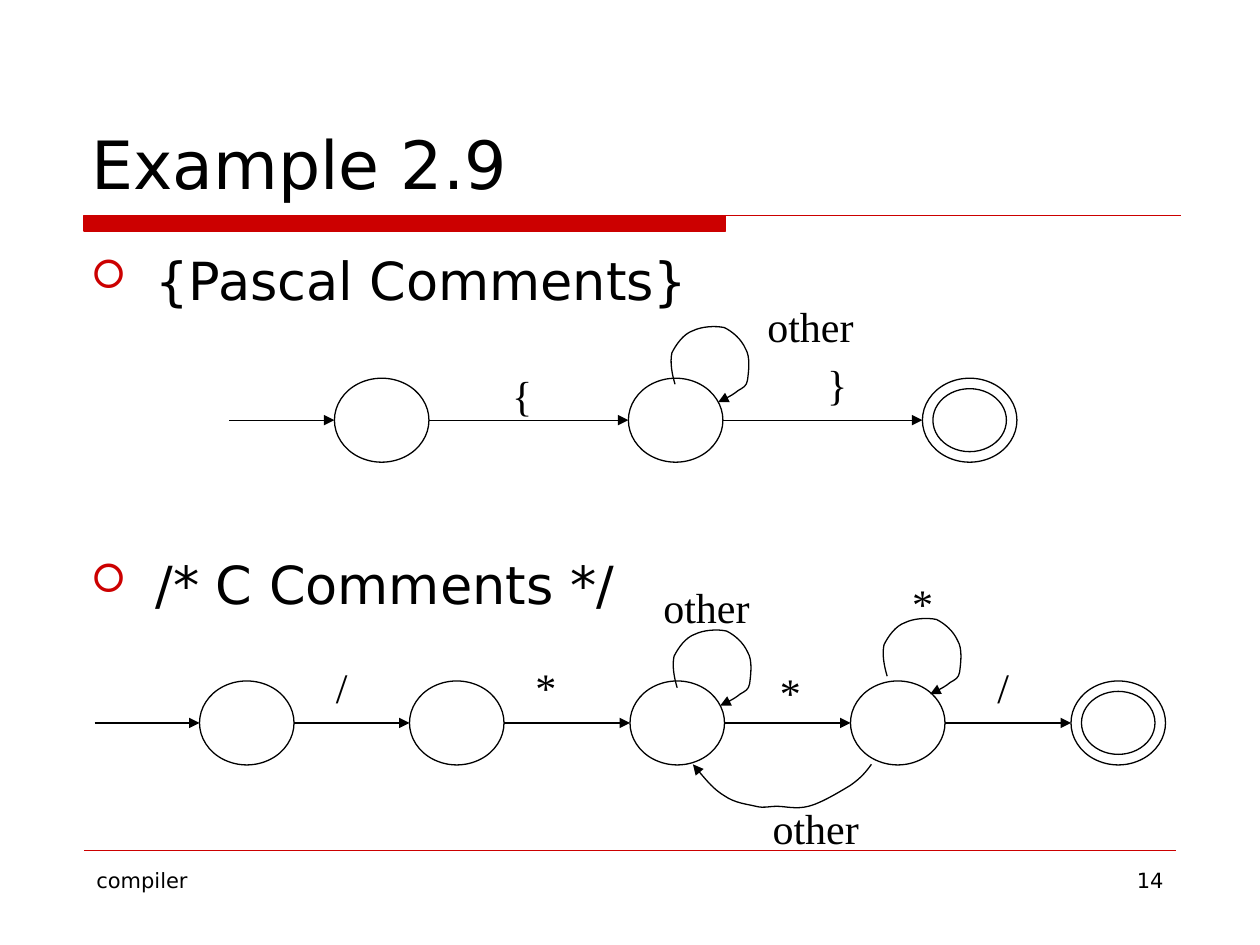
from itertools import pairwise

from lxml.etree import SubElement
from pptx import Presentation
from pptx.dml.color import RGBColor
from pptx.enum.shapes import MSO_CONNECTOR, MSO_SHAPE
from pptx.enum.text import MSO_ANCHOR, PP_ALIGN
from pptx.oxml.ns import qn
from pptx.util import Inches, Pt

COLORS = {"ink": "000000", "accent": "CC0000"}
SANS, SERIF = "DejaVu Sans", "Times New Roman"
COLUMNS, ROWS = 120, 90
NODE_WIDTH, NODE_HEIGHT = 9, 8

LOOP = [
    (0.5, 5.6),
    (0.2, 4.6), (0, 3.5), (0.2, 2.6),
    (0.6, 1.8), (1.3, 0.8), (2.2, 0.5),
    (3, 0.1), (4.3, 0), (5.2, 0.2),
    (6, 0.6), (6.8, 1.3), (7.2, 2.2),
    (7.7, 3), (7.5, 4.4), (7.4, 5.2),
    (7.3, 5.8), (7, 5.9), (6.5, 6.2),
    (6, 6.6), (4.9, 7.2), (4.6, 7.3),
]
RETURN = [
    (0, 0),
    (1, 1.2), (2, 2.4), (3, 3),
    (4, 3.7), (5.2, 3.8), (6, 4),
    (6.8, 4.2), (7.2, 4), (8, 4),
    (8.8, 4), (9.8, 4.3), (11, 4),
    (12.2, 3.7), (14, 2.6), (15, 2),
    (16, 1.3), (16.5, 0.7), (17, 0),
]


class SlideBuilder:
    def __init__(self, deck):
        self.page = deck.slides.add_slide(deck.slide_layouts[6])
        self.column = deck.slide_width / COLUMNS
        self.row = deck.slide_height / ROWS

    def place(self, column, row):
        return round(column * self.column), round(row * self.row)

    def color(self, name):
        return RGBColor.from_string(COLORS[name])

    def outline(self, shape, color="ink", width=0.75, arrow=None):
        shape.line.color.rgb = self.color(color)
        shape.line.width = Pt(width)
        if arrow:
            SubElement(shape.line._get_or_add_ln(), qn(f"a:{arrow}"), type="triangle")

    def text(self, column, row, width, height, size, font, *lines,
             align=PP_ALIGN.LEFT, anchor=MSO_ANCHOR.TOP, wrap=True, bullet=None, gap=0):
        box = self.page.shapes.add_textbox(*self.place(column, row), *self.place(width, height))
        frame = box.text_frame
        frame.word_wrap = wrap
        frame.vertical_anchor = anchor
        for index, line in enumerate(lines):
            para = frame.add_paragraph() if index else frame.paragraphs[0]
            para.alignment = align
            if index:
                para.space_before = Pt(gap)
            if bullet:
                self.bullet(para, bullet)
            span = para.add_run()
            span.text = line
            span.font.size = Pt(size)
            span.font.name = font
            span.font.color.rgb = self.color("ink")

    def bullet(self, para, mark):
        properties = para._p.get_or_add_pPr()
        indent = Inches(0.51)
        properties.set("marL", str(indent))
        properties.set("indent", str(-indent))
        tint = SubElement(properties, qn("a:buClr"))
        SubElement(tint, qn("a:srgbClr"), val=COLORS["accent"])
        SubElement(properties, qn("a:buSzPct"), val="75000")
        SubElement(properties, qn("a:buFont"), typeface="Wingdings")
        SubElement(properties, qn("a:buChar"), char=mark)

    def title_rule(self, left, top, bar_right, bottom, right):
        start = self.place(left, top)
        builder = self.page.shapes.build_freeform(*start)
        corners = ((bar_right, top), (bar_right, bottom), (left, bottom))
        builder.add_line_segments([self.place(*corner) for corner in corners], close=True)
        builder.move_to(*start)
        builder.add_line_segments([self.place(right, top)], close=False)
        shape = builder.convert_to_shape()
        shape.shadow.inherit = False
        shape.fill.solid()
        shape.fill.fore_color.rgb = self.color("accent")
        self.outline(shape, "accent")

    def line(self, start, end, row, color="ink", width=0.75, arrow=None):
        link = self.page.shapes.add_connector(
            MSO_CONNECTOR.STRAIGHT, *self.place(start, row), *self.place(end, row))
        self.outline(link, color, width, arrow)
        SubElement(link._element.spPr, qn("a:effectLst"))

    def curve(self, column, row, knots, arrow):
        points = [self.place(column + x, row + y) for x, y in knots]
        builder = self.page.shapes.build_freeform(*points[0])
        builder.add_line_segments(points[1:], close=False)
        shape = builder.convert_to_shape()
        segments = list(shape._element.iter(qn("a:lnTo")))
        outline = segments[0].getparent()
        for first in range(0, len(segments), 3):
            bend = SubElement(outline, qn("a:cubicBezTo"))
            for segment in segments[first:first + 3]:
                bend.append(segment[0])
                outline.remove(segment)
        shape.shadow.inherit = False
        shape.fill.background()
        self.outline(shape, arrow=arrow)

    def state(self, column, middle, inset=0):
        shape = self.page.shapes.add_shape(
            MSO_SHAPE.OVAL,
            *self.place(column + inset, middle - NODE_HEIGHT / 2 + inset),
            *self.place(NODE_WIDTH - 2 * inset, NODE_HEIGHT - 2 * inset))
        shape.shadow.inherit = False
        shape.fill.background()
        self.outline(shape)

    def automaton(self, entry, states, middle):
        for column in states:
            self.state(column, middle)
        self.state(states[-1], middle, inset=1)
        for before, after in pairwise([entry - NODE_WIDTH, *states]):
            self.line(before + NODE_WIDTH, after, middle, arrow="tailEnd")

    def label(self, text, column, row, width):
        self.text(column, row, width, 6, 24, SERIF, text, wrap=False)


def main():
    deck = Presentation()
    deck.slide_width, deck.slide_height = Inches(10), Inches(7.5)
    slide = SlideBuilder(deck)

    slide.title_rule(8, 20.55, 69.1, 22, 112.45)
    slide.line(8, 112, 81, "accent", 0.25)
    slide.text(8, 82, 26, 6.2, 12, SANS, "compiler")
    slide.text(86, 82, 26, 6.2, 12, SANS, "14", align=PP_ALIGN.RIGHT)
    slide.text(7.5, 3.9, 105, 16, 38, SANS, "Example 2.9", anchor=MSO_ANCHOR.BOTTOM)
    slide.text(7.5, 23, 105, 56, 30, SANS, "{Pascal Comments}", "/* C Comments */",
               bullet="□", gap=137.7)

    slide.automaton(21.85, [31.85 + 28 * index for index in range(3)], 40.02)
    slide.automaton(9, [19, *range(39, 103, 21)], 68.85)
    for column, row in ((63.8, 31), (64, 59.9), (84, 58.8)):
        slide.curve(column, row, LOOP, "tailEnd")
    slide.curve(66, 72.8, RETURN, "headEnd")

    for text, column, row, width in (
        ("other", 71.9, 28, 10.6),
        ("{", 47.6, 34.6, 4.3),
        ("}", 77.6, 33.6, 4.3),
        ("/", 30.8, 62.4, 3.5),
        ("*", 49.8, 62.4, 4.3),
        ("other", 62, 54.8, 10.6),
        ("*", 73.1, 62.9, 4.3),
        ("*", 85.7, 54.4, 4.3),
        ("/", 93.8, 62.4, 3.5),
        ("other", 72.4, 75.8, 10.6),
    ):
        slide.label(text, column, row, width)

    deck.save("out.pptx")


if __name__ == "__main__":
    main()
